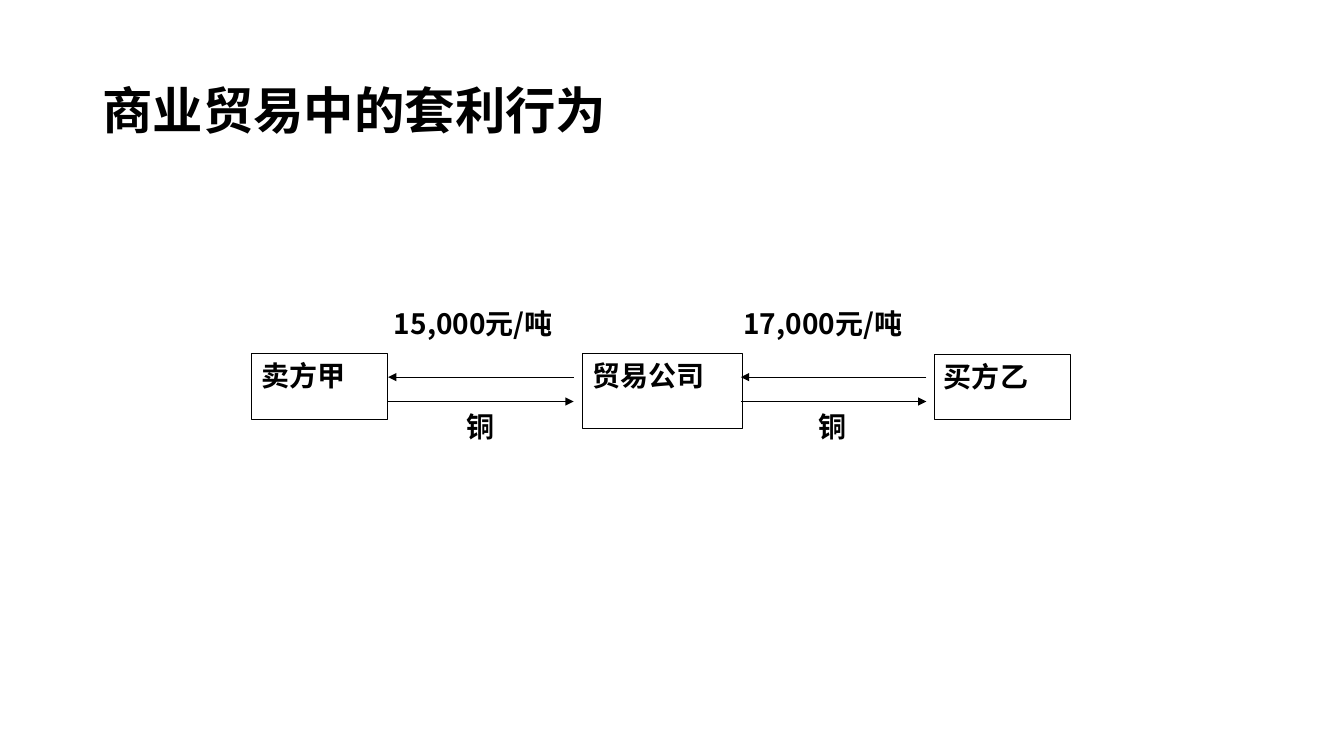
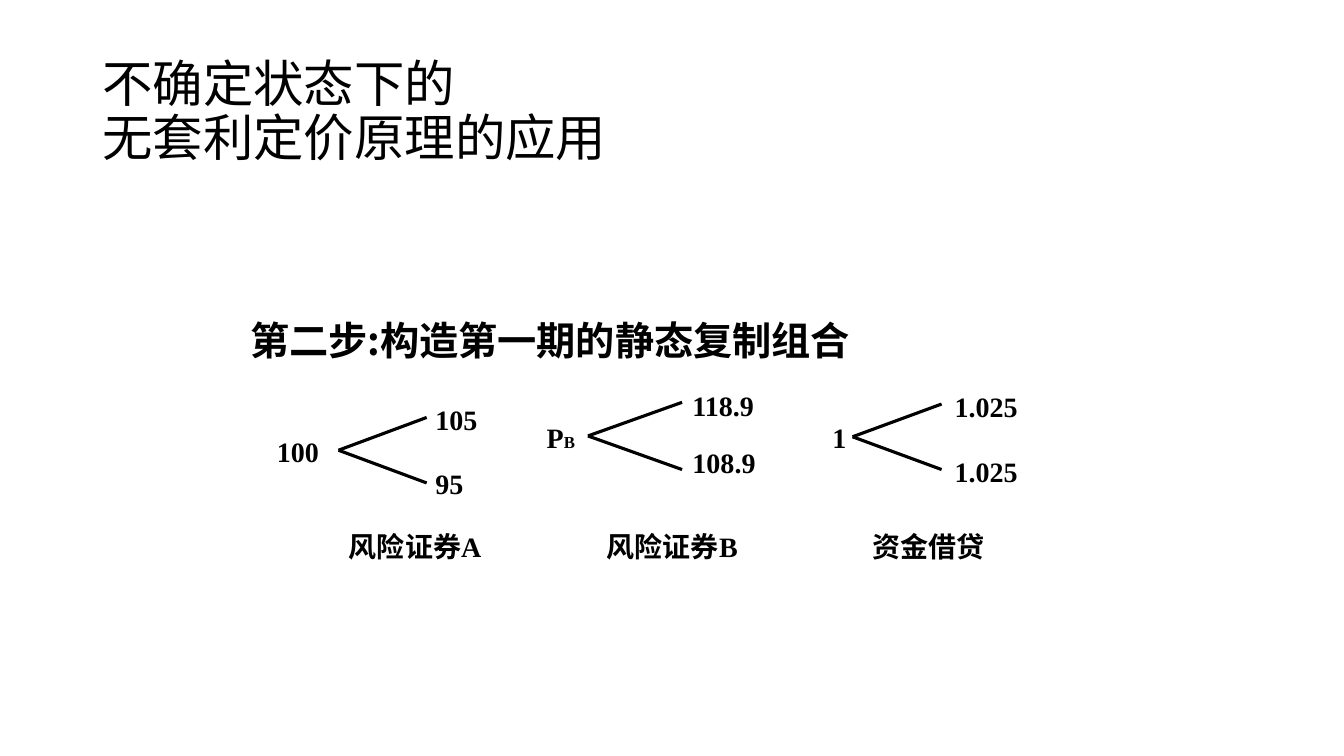
from dataclasses import dataclass

from lxml import etree
from pptx import Presentation
from pptx.dml.color import RGBColor
from pptx.enum.shapes import MSO_CONNECTOR, MSO_SHAPE
from pptx.enum.text import MSO_ANCHOR, PP_ALIGN
from pptx.oxml.ns import qn
from pptx.util import Inches, Pt

RECTANGLE = MSO_SHAPE.RECTANGLE
STRAIGHT = MSO_CONNECTOR.STRAIGHT
TOP, MIDDLE = MSO_ANCHOR.TOP, MSO_ANCHOR.MIDDLE
LEFT, RIGHT = PP_ALIGN.LEFT, PP_ALIGN.RIGHT


@dataclass(frozen=True)
class Theme:
    ink: RGBColor = RGBColor(0, 0, 0)
    sans: str = "Noto Sans CJK SC"
    serif: str = "Times New Roman"
    title: int = 36
    heading: int = 28
    label: int = 20
    index: int = 12
    thin: float = 0.75
    thick: float = 2.25


theme = Theme()
CELL = Inches(1) // 12
COLUMNS, ROWS = 160, 90
TITLE_AREA = (11, 4.8, 138, 17.4)
DEFAULT_INSETS = (0.1, 0.05)
TIGHT_INSETS = (0.02, 0.01)


def write(page, area, text, size=theme.label, font=theme.sans, bold=True,
          align=LEFT, anchor=TOP, insets=DEFAULT_INSETS, framed=False):
    """Place text in an area given in grid cells and return its paragraph."""
    place = [int(cells * CELL) for cells in area]
    if framed:
        box = page.shapes.add_shape(RECTANGLE, *place)
        box.shadow.inherit = False
        box.fill.background()
        box.line.color.rgb = theme.ink
        box.line.width = Pt(theme.thin)
    else:
        box = page.shapes.add_textbox(*place)
    frame = box.text_frame
    frame.word_wrap = True
    frame.vertical_anchor = anchor
    frame.margin_left = frame.margin_right = Inches(insets[0])
    frame.margin_top = frame.margin_bottom = Inches(insets[1])
    para = frame.paragraphs[0]
    para.text = text
    para.alignment = align
    para.font.size = Pt(size)
    para.font.bold = bold
    para.font.color.rgb = theme.ink
    para.font.name = font
    latin = para._p.pPr.find(qn("a:defRPr")).find(qn("a:latin"))
    east_asian = etree.Element(qn("a:ea"), typeface=theme.sans)
    latin.addnext(east_asian)
    return para


def draw_line(page, start, end, width, arrow=False):
    """Join two grid points, with an optional arrowhead at the end."""
    points = [int(cells * CELL) for cells in (*start, *end)]
    line = page.shapes.add_connector(STRAIGHT, *points)
    line.line.color.rgb = theme.ink
    line.line.width = Pt(width)
    if arrow:
        etree.SubElement(line.line._get_or_add_ln(), qn("a:tailEnd"), type="triangle")
    etree.SubElement(line._element.spPr, qn("a:effectLst"))


deck = Presentation()
deck.slide_width, deck.slide_height = COLUMNS * CELL, ROWS * CELL
blank = deck.slide_layouts[6]
titles = [("商业贸易中的套利行为", True), ("不确定状态下的\v无套利定价原理的应用", False)]
pages = []
for title, bold in titles:
    page = deck.slides.add_slide(blank)
    para = write(page, TITLE_AREA, title, theme.title, bold=bold, anchor=MIDDLE)
    para.line_spacing = 0.9
    pages.append(page)
trade_page, pricing_page = pages

# Trade: money flows left, copper flows right
parties = [
    ("卖方甲", (29.9, 42.1, 16.2, 7.8)),
    ("贸易公司", (69.4, 42.1, 19, 8.9)),
    ("买方乙", (111.2, 42.2, 16.2, 7.8)),
]
for name, area in parties:
    write(trade_page, area, name, framed=True)

MONEY_ROW, GOODS_ROW, ARROW_LENGTH = 44.9, 47.8, 22.1
for left, price_left, price in [(46.2, 46.9, "15,000元/吨"), (88.2, 88.5, "17,000元/吨")]:
    right = left + ARROW_LENGTH
    write(trade_page, (price_left, 36.5, 22.5, 5.6), price, insets=(0, 0))
    draw_line(trade_page, (right, MONEY_ROW), (left, MONEY_ROW), theme.thin, arrow=True)
    draw_line(trade_page, (left, GOODS_ROW), (right, GOODS_ROW), theme.thin, arrow=True)
    write(trade_page, (left + 9.3, 48.8, 5, 4.1), "铜", insets=(0, 0))

# Pricing: one two-branch tree for each asset
write(pricing_page, (28.6, 37.1, 90.7, 6.8), "第二步:构造第一期的静态复制组合", theme.heading)

LABEL_WIDTH, LABEL_HEIGHT, CAPTION_ROW = 12, 4.6, 62.9
# caption, its left, root, its right edge, fork, reach, rise, outcomes, their left, lower offset
trees = [
    ("风险证券A", 41.3, "100", 38.2, (40.3, 53.6), 10.5, 3.9, ("105", "95"), 51.6, 1.8),
    ("风险证券B", 72, "P", 68.7, (70, 51.9), 11.2, 4, ("118.9", "108.9"), 82.2, 1),
    ("资金借贷", 103.6, "1", 101, (101.5, 52), 10.6, 3.9, ("1.025", "1.025"), 113.4, 2),
]
for caption, caption_left, root, root_right, fork, reach, rise, outcomes, left, lower in trees:
    column, row = fork
    para = write(pricing_page, (root_right - LABEL_WIDTH, row - 2, LABEL_WIDTH, LABEL_HEIGHT),
                 root, font=theme.serif, align=RIGHT, insets=TIGHT_INSETS)
    if root == "P":
        span = para.add_run()
        span.text = "B"
        span.font.size = Pt(theme.index)
    for outcome, offset, slope in zip(outcomes, (-5.8, lower), (-rise, rise)):
        draw_line(pricing_page, fork, (column + reach, row + slope), theme.thick)
        write(pricing_page, (left, row + offset, LABEL_WIDTH, LABEL_HEIGHT), outcome,
              font=theme.serif, insets=TIGHT_INSETS)
    write(pricing_page, (caption_left, CAPTION_ROW, 18.8, LABEL_HEIGHT), caption,
          font=theme.serif, insets=TIGHT_INSETS)

deck.save("out.pptx")
